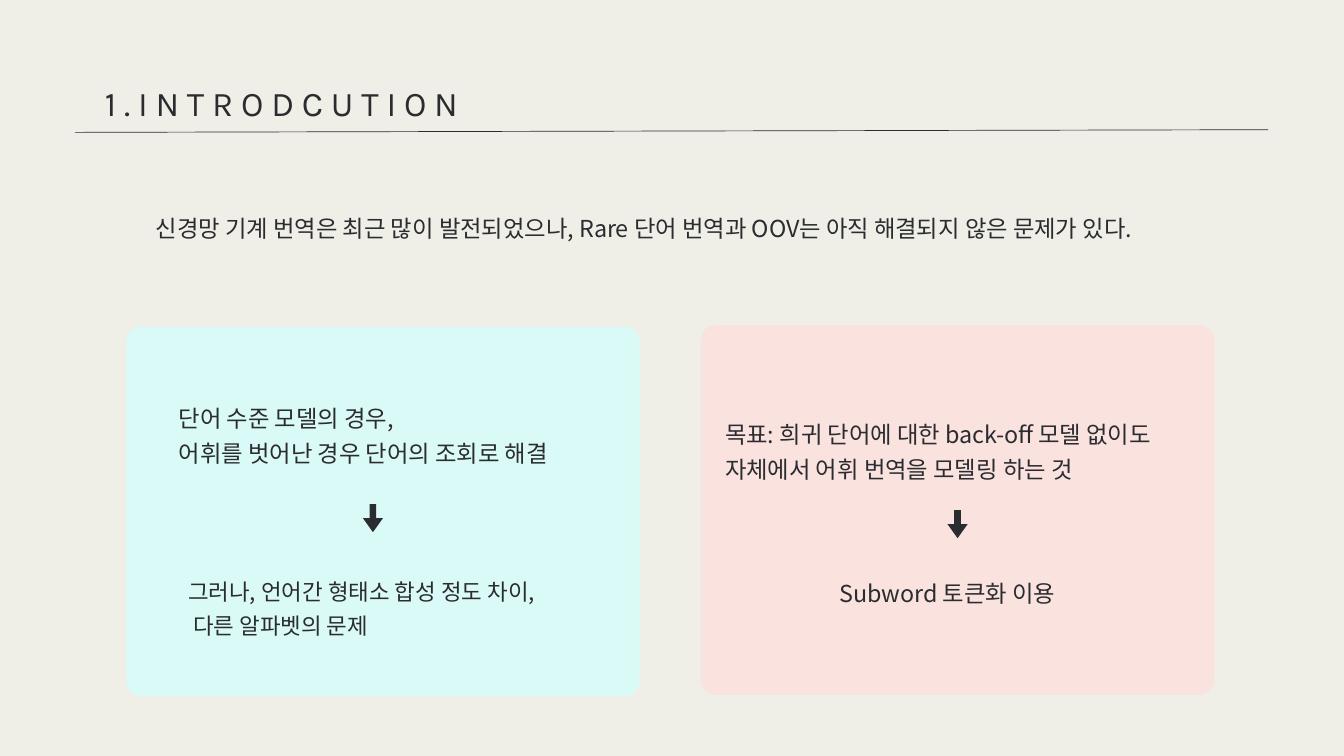
"""Build the introduction slide on subword translation."""
import pptx
import pptx.util
import pptx.dml.color
import pptx.enum.shapes
import pptx.oxml.ns
import lxml.etree

Pt = pptx.util.Pt
SHAPE = pptx.enum.shapes.MSO_SHAPE
COLORS = {"back": "EFEEE7", "ink": "2B2C30", "pink": "FAE2DF", "mint": "DAFAF8"}
NOTO = "Noto Sans CJK KR"

RULE = (80.64, 141.84, 1358.64, 138.96)
CARDS = [(751, 348.5, "pink"), (135.4, 349.9, "mint")]
CARD = (550, 396)
ARROWS = [(388.8, 540), (1015.2, 546.5)]
ARROW = (21.6, 30.2)
TITLE = ("1.INTRODCUTION", "Karla")
TEXTS = [
    (899.3, 612.7, 253.4, 25, 37.5, [("Subword 토큰화 이용", NOTO)]),
    (201.6, 612.7, 416.9, 24, 36, [
        ("그러나, 언어간 형태소 합성 정도 차이,", NOTO),
        (" 다른 알파벳의 문제", NOTO)]),
    (167, 221.8, 1103, 25, 37.5, [
        ("신경망 기계 번역은 최근 많이 발전되었으나, Rare 단어 번역과 OOV는 "
         "아직 해결되지 않은 문제가 있다.", NOTO)]),
    (191.5, 425.5, 437.8, 25, 37.5, [
        ("단어 수준 모델의 경우,", NOTO),
        ("어휘를 벗어난 경우 단어의 조회로 해결", "Calibri")]),
    (776.9, 442.8, 498.2, 25, 37.5, [
        ("목표: 희귀 단어에 대한 back-off 모델 없이도", NOTO),
        ("자체에서 어휘 번역을 모델링 하는 것", "Calibri")]),
]


def color(name):
    return pptx.dml.color.RGBColor.from_string(COLORS[name])


def add_block(slide, kind, place, size, fill, adjust):
    block = slide.shapes.add_shape(kind, *map(Pt, place + size))
    block.shadow.inherit = False
    block.fill.solid()
    block.fill.fore_color.rgb = color(fill)
    block.line.fill.background()
    for index, value in enumerate(adjust):
        block.adjustments[index] = value


def add_text(slide, left, top, width, size, pitch, lines):
    box = slide.shapes.add_textbox(*map(Pt, (left, top, width, pitch * len(lines))))
    frame = box.text_frame
    frame.word_wrap = True
    frame.margin_left = frame.margin_right = frame.margin_top = frame.margin_bottom = 0
    frame.text = "\n".join(text for text, font in lines)
    for para, (text, font) in zip(frame.paragraphs, lines):
        para.line_spacing = Pt(pitch)
        run = para.runs[0]
        run.font.size = Pt(size)
        run.font.name = font
        run.font.color.rgb = color("ink")
        asian = lxml.etree.SubElement(run.font._element, pptx.oxml.ns.qn("a:ea"))
        asian.set("typeface", NOTO)
    return frame


def main():
    deck = pptx.Presentation()
    deck.slide_width, deck.slide_height = Pt(1440), Pt(810)
    slide = deck.slides.add_slide(deck.slide_layouts[6])
    slide.background.fill.solid()
    slide.background.fill.fore_color.rgb = color("back")

    rule = slide.shapes.add_connector(
        pptx.enum.shapes.MSO_CONNECTOR.STRAIGHT, *map(Pt, RULE))
    rule.line.width = Pt(0.75)
    rule.line.color.rgb = color("ink")
    lxml.etree.SubElement(rule._element.spPr, pptx.oxml.ns.qn("a:effectLst"))

    for left, top, fill in CARDS:
        add_block(slide, SHAPE.ROUNDED_RECTANGLE, (left, top), CARD, fill, [0.04])
    for place in ARROWS:
        add_block(slide, SHAPE.DOWN_ARROW, place, ARROW, "ink", [0.33, 0.7])

    para = add_text(slide, 80.64, 80.64, 1278, 37.1, 52, [TITLE]).paragraphs[0]
    para.level = 1
    para._p.pPr.set("marL", str(Pt(31.7)))
    para._p.pPr.set("indent", "0")
    para.runs[0].font._element.set("spc", "840")
    for item in TEXTS:
        add_text(slide, *item)
    deck.save("out.pptx")


if __name__ == "__main__":
    main()
